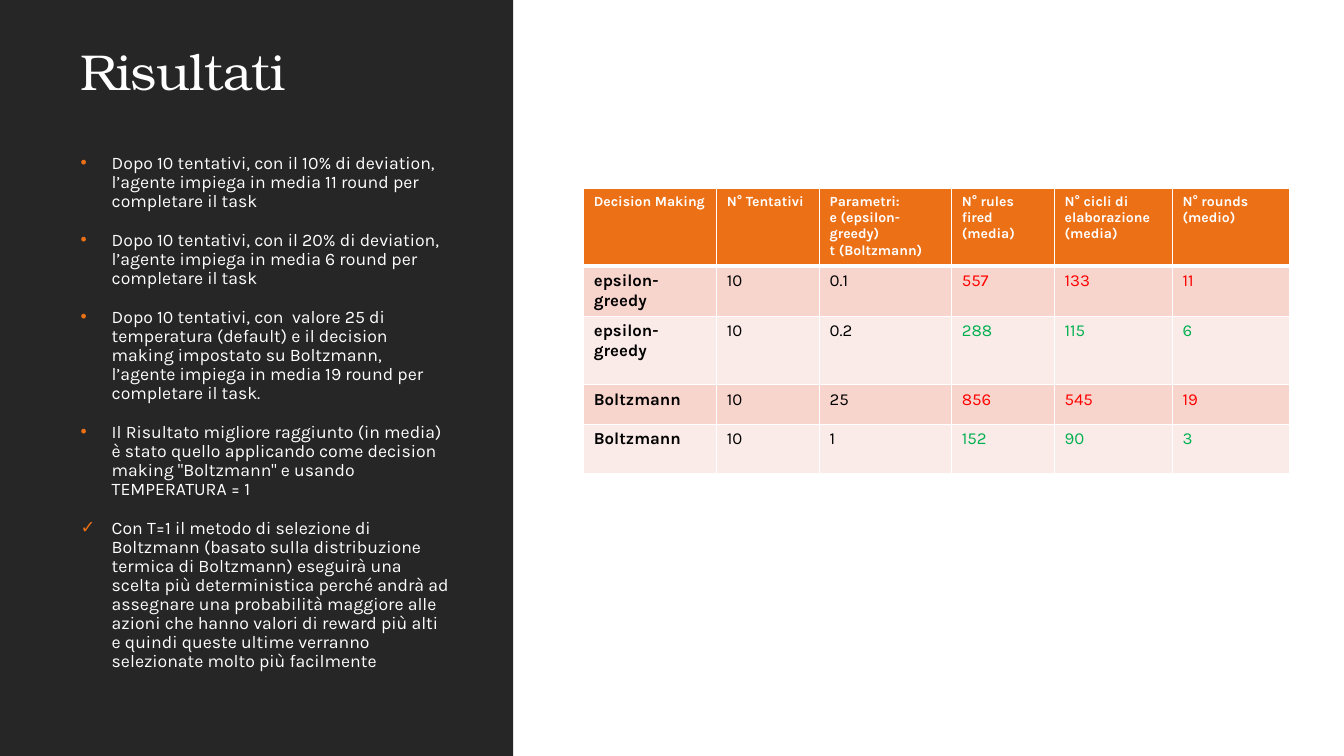
from dataclasses import dataclass

from lxml.etree import SubElement
from pptx import Presentation
from pptx.dml.color import RGBColor
from pptx.enum.shapes import MSO_SHAPE
from pptx.enum.text import MSO_ANCHOR, MSO_AUTO_SIZE, PP_ALIGN
from pptx.oxml.ns import qn
from pptx.util import Inches, Pt


@dataclass(frozen=True)
class Theme:
    panel: str = "262626"
    white: str = "FFFFFF"
    black: str = "000000"
    accent: str = "EC7016"
    band_dark: str = "F8D5CC"
    band_light: str = "FBEBE8"
    red: str = "FF0000"
    green: str = "00B050"
    title_font: str = "TeX Gyre Bonum"
    body_font: str = "Karla"
    title_size: float = 36
    body_size: float = 12.6
    header_size: float = 10
    cell_size: float = 12


T = Theme()


def write(p, text, *, size, color, font=T.body_font, bold=False):
    p.alignment = PP_ALIGN.LEFT
    r = p.add_run()
    r.text = text
    r.font.name, r.font.size, r.font.bold = font, Pt(size), bold
    r.font.color.rgb = RGBColor.from_string(color)
    return r


def add_solid(parent, tag, color, **attrs):
    """Append an element that holds a solid colour fill."""
    el = SubElement(parent, qn(tag), **attrs)
    fill = SubElement(el, qn("a:solidFill"))
    SubElement(fill, qn("a:srgbClr"), val=color)


prs = Presentation()
prs.slide_width, prs.slide_height = Inches(13.33), Inches(7.5)
s = prs.slides.add_slide(prs.slide_layouts[5])

# Title on the dark side panel
title = s.shapes.title
title.left, title.top, title.width, title.height = map(Inches, (0.7, 0.28, 3.85, 0.78))
tf = title.text_frame
tf.auto_size = MSO_AUTO_SIZE.NONE
tf.vertical_anchor = MSO_ANCHOR.BOTTOM
p = tf.paragraphs[0]
p.line_spacing = 0.9
r = write(p, "Risultati", size=T.title_size, color=T.white, font=T.title_font)
r.font._element.set("spc", "-50")

panel = s.shapes.add_shape(MSO_SHAPE.RECTANGLE, 0, 0, Inches(5.09), prs.slide_height)
panel.shadow.inherit = False
panel.fill.solid()
panel.fill.fore_color.rgb = RGBColor.from_string(T.panel)
panel.line.fill.background()
title.element.addprevious(panel.element)

# Findings
findings = [
    ("•", "Dopo 10 tentativi, con il 10% di deviation, l’agente impiega in media "
          "11 round per completare il task"),
    ("•", "Dopo 10 tentativi, con il 20% di deviation, l’agente impiega in media "
          "6 round per completare il task"),
    ("•", "Dopo 10 tentativi, con  valore 25 di temperatura (default) e il decision "
          "making impostato su Boltzmann, l’agente impiega in media 19 round per "
          "completare il task."),
    ("•", "Il Risultato migliore raggiunto (in media) è stato quello applicando come "
          "decision making \"Boltzmann\" e usando TEMPERATURA = 1"),
    ("✓", "Con T=1 il metodo di selezione di Boltzmann (basato sulla distribuzione "
          "termica di Boltzmann) eseguirà una scelta più deterministica perché andrà "
          "ad assegnare una probabilità maggiore alle azioni che hanno valori di reward "
          "più alti e quindi queste ultime verranno selezionate molto più facilmente"),
]
body = s.shapes.add_textbox(*map(Inches, (0.7, 1.48, 3.85, 5.67)))
tf = body.text_frame
tf.word_wrap = True
for i, (bullet, text) in enumerate(findings):
    p = tf.add_paragraph() if i else tf.paragraphs[0]
    p.line_spacing = 0.9
    p.space_before, p.space_after = Pt(12 if i else 0), Pt(2)
    write(p, text, size=T.body_size, color=T.white)
    pPr = p._p.get_or_add_pPr()
    pPr.set("marL", str(Inches(0.31)))
    pPr.set("indent", str(Inches(-0.31)))
    bullet_color = SubElement(pPr, qn("a:buClr"))
    SubElement(bullet_color, qn("a:srgbClr"), val=T.accent)
    SubElement(pPr, qn("a:buFont"), typeface="Arial")
    SubElement(pPr, qn("a:buChar"), char=bullet)

# Results table
rows = [
    ("Decision Making", "N° Tentativi", "Parametri:\ne (epsilon-greedy)\nt (Boltzmann)",
     "N° rules fired (media)", "N° cicli di elaborazione (media)", "N° rounds (medio)"),
    ("epsilon-greedy", "10", "0.1", "557", "133", "11"),
    ("epsilon-greedy", "10", "0.2", "288", "115", "6"),
    ("Boltzmann", "10", "25", "856", "545", "19"),
    ("Boltzmann", "10", "1", "152", "90", "3"),
]
col_widths = (1.32, 1.02, 1.31, 1.02, 1.17, 1.16)
row_heights = (0.74, 0.49, 0.68, 0.39, 0.49)
table = s.shapes.add_table(len(rows), len(col_widths), Inches(5.79), Inches(1.87),
                           Inches(sum(col_widths)), Inches(sum(row_heights))).table
for col, width in zip(table.columns, col_widths):
    col.width = Inches(width)
for row, height in zip(table.rows, row_heights):
    row.height = Inches(height)

for i, values in enumerate(rows):
    header, odd = i == 0, i % 2 == 1
    fill = T.accent if header else T.band_dark if odd else T.band_light
    result_color = T.red if odd else T.green
    for j, value in enumerate(values):
        cell = table.cell(i, j)
        tcPr = cell._tc.get_or_add_tcPr()
        thick = {0: "a:lnB", 1: "a:lnT"}.get(i)
        for side in ("a:lnL", "a:lnR", "a:lnT", "a:lnB"):
            add_solid(tcPr, side, T.white, w=str(Pt(3 if side == thick else 1)))
        cell.fill.solid()
        cell.fill.fore_color.rgb = RGBColor.from_string(fill)
        tf = cell.text_frame
        for k, line in enumerate(value.split("\n")):
            p = tf.add_paragraph() if k else tf.paragraphs[0]
            write(p, line, size=T.header_size if header else T.cell_size,
                  color=T.white if header else result_color if j > 2 else T.black,
                  bold=header or j == 0)

prs.save("out.pptx")
